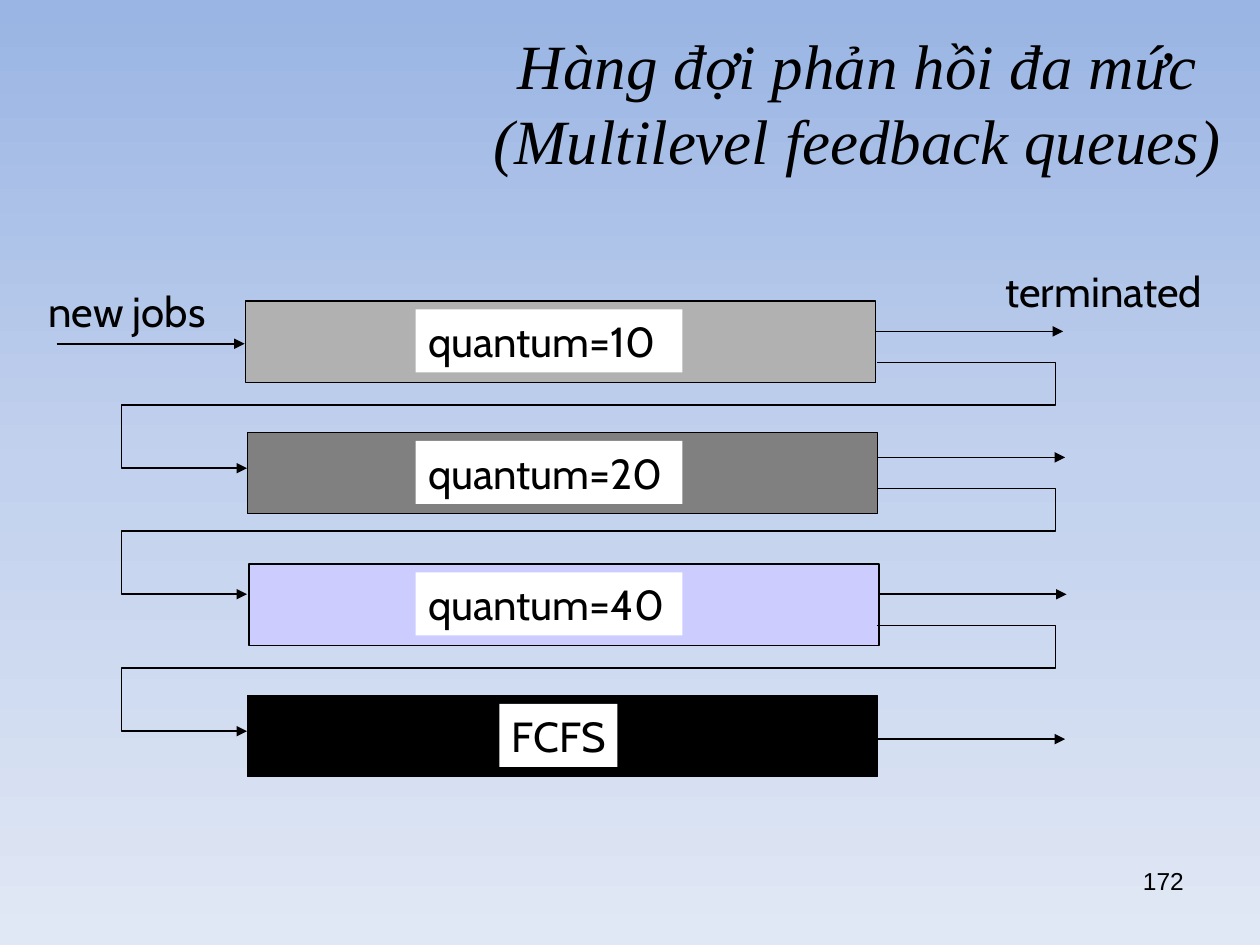
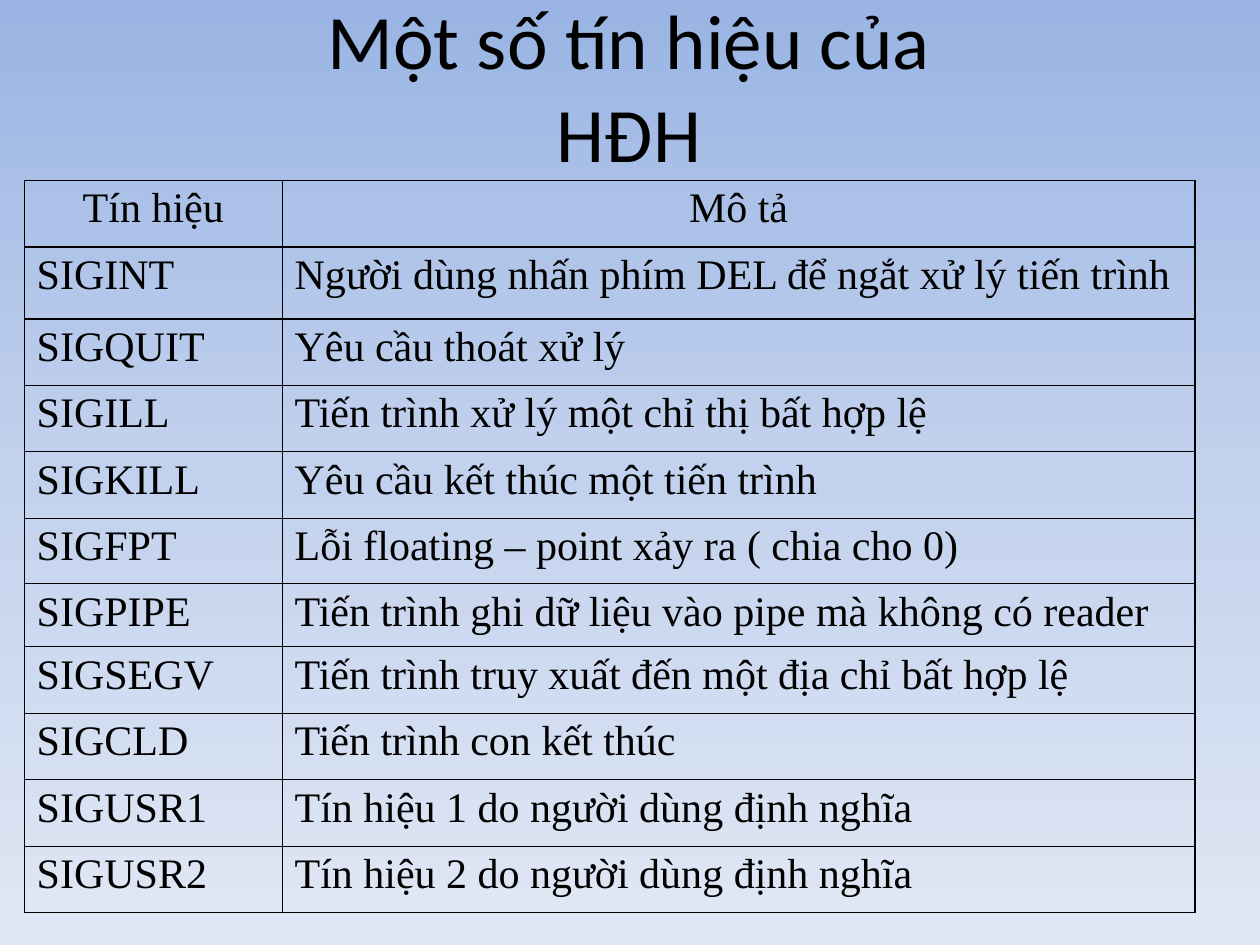
from copy import deepcopy

from pptx import Presentation
from pptx.dml.color import RGBColor
from pptx.enum.shapes import MSO_CONNECTOR as Connector
from pptx.enum.shapes import MSO_SHAPE as Shape
from pptx.enum.text import MSO_ANCHOR as Anchor
from pptx.enum.text import MSO_AUTO_SIZE as AutoSize
from pptx.enum.text import PP_ALIGN as Align
from pptx.oxml.ns import qn
from pptx.oxml.xmlchemy import OxmlElement
from pptx.util import Cm, Pt

BLACK, WHITE = "000000", "FFFFFF"
BACKGROUND = [(0, "9AB5E4"), (0.5, "C2D1ED"), (1, "E1E8F5")]
SERIF, SANS, LABEL_FONT = "Times New Roman", "Calibri", "Cabin"

# All places and lengths below are in centimetres: left, top, width, height.
QUEUES_TITLE = "Hàng đợi phản hồi đa mức\v(Multilevel feedback queues)"
QUEUES_TITLE_PLACE = (9.7, 0.48, 15.16, 3.12)
# label, label left, label width, bar left, bar colour, height of exit arrow
QUEUES = [
    ("quantum=10", 8.38, 5.38, 4.95, "B1B1B1", 6.68),
    ("quantum=20", 8.38, 5.38, 4.99, "808080", 9.22),
    ("quantum=40", 8.38, 5.38, 5.02, "CCCCFF", 11.98),
    ("FCFS", 10.07, 2.38, 4.99, BLACK, 14.9),
]
BAR_TOP, BAR_STEP, BAR_WIDTH, BAR_HEIGHT = 6.07, 2.65, 12.7, 1.64
EXIT_LENGTH = 3.78
LOOP_START, LOOP_RIGHT, LOOP_LEFT, LOOP_END = 17.68, 21.28, 2.45, 4.98
LOOP_DROPS = (0.63, 1.49, 2.76)  # exit, lane and entry, below the exit arrow
CAPTIONS = [
    ("new jobs", (0.97, 5.72, 3.6, 1.09), 24, LABEL_FONT),
    ("terminated", (20.27, 5.32, 4.3, 1.09), 24, LABEL_FONT),
    ("172", (23.04, 17.42, 0.95, 0.66), 14, "Arial"),
]

SIGNALS_TITLE = "Một số tín hiệu của\vHĐH"
SIGNALS_TITLE_PLACE = (4.91, 0.83, 15.54, 1.75)
SIGNALS = [
    ("Tín hiệu", "Mô tả"),
    ("SIGINT", "Người dùng nhấn phím DEL để ngắt xử lý tiến trình"),
    ("SIGQUIT", "Yêu cầu thoát xử lý"),
    ("SIGILL", "Tiến trình xử lý một chỉ thị bất hợp lệ"),
    ("SIGKILL", "Yêu cầu kết thúc một tiến trình"),
    ("SIGFPT", "Lỗi floating – point xảy ra ( chia cho 0)"),
    ("SIGPIPE", "Tiến trình ghi dữ liệu vào pipe mà không có reader"),
    ("SIGSEGV", "Tiến trình truy xuất đến một địa chỉ bất hợp lệ"),
    ("SIGCLD", "Tiến trình con kết thúc"),
    ("SIGUSR1", "Tín hiệu 1 do người dùng định nghĩa"),
    ("SIGUSR2", "Tín hiệu 2 do người dùng định nghĩa"),
]
TABLE_LEFT, TABLE_TOP, COLUMN_WIDTHS = 0.49, 3.64, (5.2, 18.4)
ROW_HEIGHT, SPECIAL_ROW_HEIGHTS = 1.335, {"SIGINT": 1.46, "SIGPIPE": 1.27}
ROW_HEIGHT = 1.34
SPECIAL_ROW_HEIGHTS = {"SIGINT": 1.45, "SIGFPT": 1.32, "SIGPIPE": 1.27}


def color(hex_string):
    return RGBColor.from_string(hex_string)


def cm(*lengths):
    return [Cm(length) for length in lengths]


def paint_background(master):
    fill = master.background.fill
    fill.gradient()
    fill.gradient_angle = 270  # counter-clockwise, so the first colour is on top
    first = next(master.element.iter(qn("a:gs")))
    first.addnext(deepcopy(first))
    for stop, (position, hex_string) in zip(fill.gradient_stops, BACKGROUND):
        stop.position = position
        stop.color.rgb = color(hex_string)


def write(frame, text, size, font, align=Align.LEFT, space=1.0, italic=False):
    frame.text = text
    for para in frame.paragraphs:
        para.alignment = align
        para.space_before = Pt(space)
        for span in para.runs:
            span.font.size = Pt(size)
            span.font.name = font
            span.font.italic = italic
            span.font.color.rgb = color(BLACK)


def set_margins(target, left=0, top=0.03):
    target.margin_left, target.margin_top = cm(left, top)
    target.margin_right = target.margin_bottom = 0


def add_titled_slide(deck, text, place, size, font, italic=False):
    slide = deck.slides.add_slide(deck.slide_layouts.get_by_name("Title Only"))
    title = slide.shapes.title
    title.left, title.top, title.width, title.height = cm(*place)
    frame = title.text_frame
    frame.auto_size = AutoSize.NONE
    frame.vertical_anchor = Anchor.MIDDLE
    set_margins(frame)
    write(frame, text, size, font, Align.CENTER, italic=italic)
    return slide


def add_caption(slide, text, place, size, font):
    frame = slide.shapes.add_textbox(*cm(*place)).text_frame
    frame.word_wrap = True
    set_margins(frame)
    write(frame, text, size, font)


def add_box(slide, place, fill, line=None):
    box = slide.shapes.add_shape(Shape.RECTANGLE, *cm(*place))
    box.shadow.inherit = False
    box.fill.solid()
    box.fill.fore_color.rgb = color(fill)
    if line:
        box.line.color.rgb = color(line)
        box.line.width = Pt(0.72)
    else:
        box.line.fill.background()
    return box


def style_arrow(shape):
    shape.line.color.rgb = color(BLACK)
    shape.line.width = Pt(1)
    head = OxmlElement("a:tailEnd")
    head.set("type", "triangle")
    shape.element.spPr.find(qn("a:ln")).append(head)


def add_arrow(slide, left, right, height):
    arrow = slide.shapes.add_connector(
        Connector.STRAIGHT, *cm(left, height, right, height))
    style_arrow(arrow)
    arrow.element.spPr.append(OxmlElement("a:effectLst"))


def add_feedback_loop(slide, exit_arrow):
    """Lead jobs from the right end of one queue to the left end of the next."""
    leave, lane, enter = (exit_arrow + drop for drop in LOOP_DROPS)
    corners = [(LOOP_RIGHT, leave), (LOOP_RIGHT, lane), (LOOP_LEFT, lane),
               (LOOP_LEFT, enter), (LOOP_END, enter)]
    builder = slide.shapes.build_freeform(*cm(LOOP_START, leave))
    builder.add_line_segments([cm(*corner) for corner in corners], close=False)
    loop = builder.convert_to_shape()
    loop.shadow.inherit = False
    loop.fill.background()
    style_arrow(loop)


def add_queues_slide(deck):
    slide = add_titled_slide(deck, QUEUES_TITLE, QUEUES_TITLE_PLACE, 36, SERIF,
                             italic=True)
    for index, (text, label_left, label_width, left, fill, height) in enumerate(QUEUES):
        top = BAR_TOP + index * BAR_STEP
        add_box(slide, (left, top, BAR_WIDTH, BAR_HEIGHT), fill, BLACK)
        label = add_box(slide, (label_left, top + 0.17, label_width, 1.27), WHITE)
        frame = label.text_frame
        frame.vertical_anchor = Anchor.TOP
        set_margins(frame, 0.25, 0.13)
        write(frame, text, 24, LABEL_FONT, space=3.5)
        right = left + BAR_WIDTH
        add_arrow(slide, right, right + EXIT_LENGTH, height)
        if index < len(QUEUES) - 1:
            add_feedback_loop(slide, height)
    add_arrow(slide, 1.14, 4.93, 6.93)
    for caption in CAPTIONS:
        add_caption(slide, *caption)


def add_borders(cell):
    properties = cell._tc.get_or_add_tcPr()
    for position, side in enumerate(("lnL", "lnR", "lnT", "lnB")):
        border = OxmlElement(f"a:{side}")
        border.set("w", str(Pt(0.75)))
        fill = OxmlElement("a:solidFill")
        shade = OxmlElement("a:srgbClr")
        shade.set("val", BLACK)
        fill.append(shade)
        border.append(fill)
        properties.insert(position, border)


def add_signals_slide(deck):
    slide = add_titled_slide(deck, SIGNALS_TITLE, SIGNALS_TITLE_PLACE, 44, SANS)
    heights = [SPECIAL_ROW_HEIGHTS.get(name, ROW_HEIGHT) for name, _ in SIGNALS]
    table = slide.shapes.add_table(
        len(SIGNALS), len(COLUMN_WIDTHS),
        *cm(TABLE_LEFT, TABLE_TOP, sum(COLUMN_WIDTHS), sum(heights))).table
    table.first_row = table.horz_banding = False
    for column, width in zip(table.columns, COLUMN_WIDTHS):
        column.width = Cm(width)
    for index, (row, height, texts) in enumerate(zip(table.rows, heights, SIGNALS)):
        row.height = Cm(height)
        heading = index == 0
        for cell, text in zip(row.cells, texts):
            set_margins(cell, 0 if heading else 0.25, 0.1)
            cell.fill.background()
            add_borders(cell)
            write(cell.text_frame, text, 24, SERIF,
                  Align.CENTER if heading else Align.LEFT, space=2.8)


def main():
    deck = Presentation()
    deck.slide_width, deck.slide_height = cm(25.4, 19.05)
    paint_background(deck.slide_master)
    add_queues_slide(deck)
    add_signals_slide(deck)
    deck.save("out.pptx")


if __name__ == "__main__":
    main()
